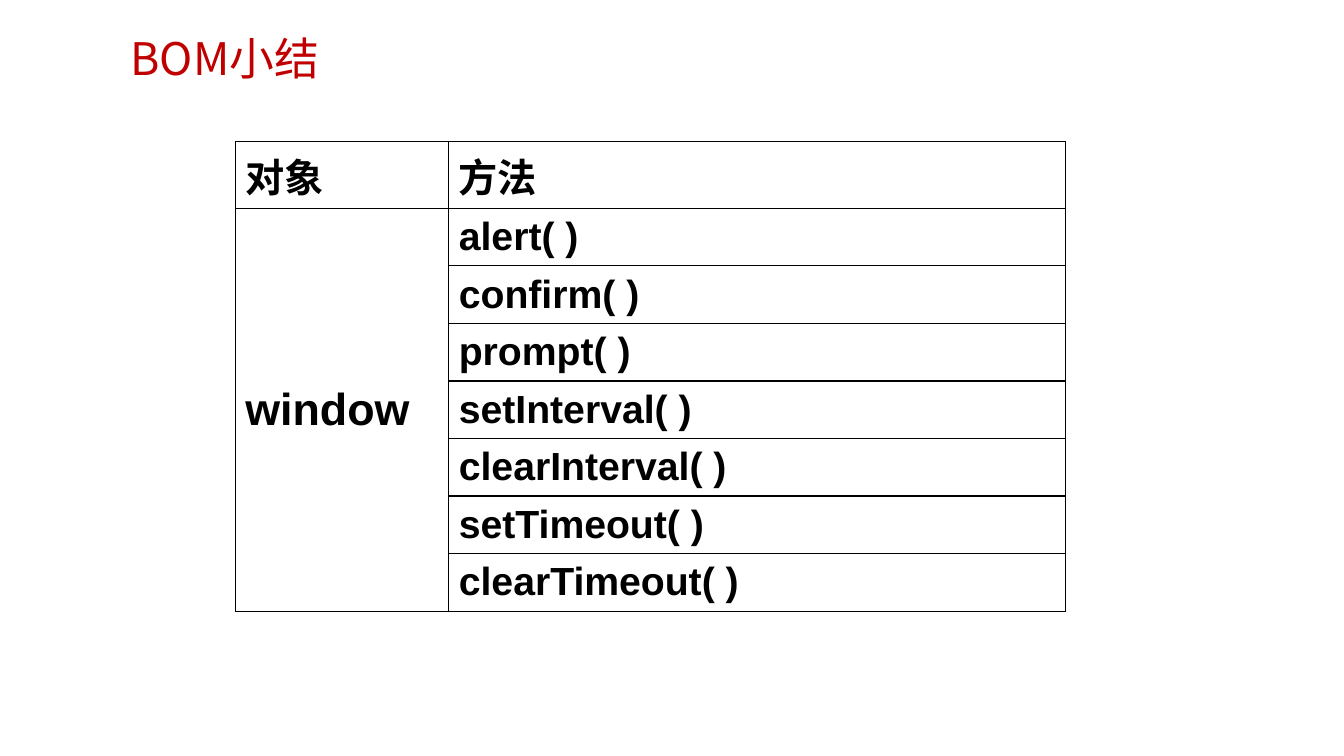
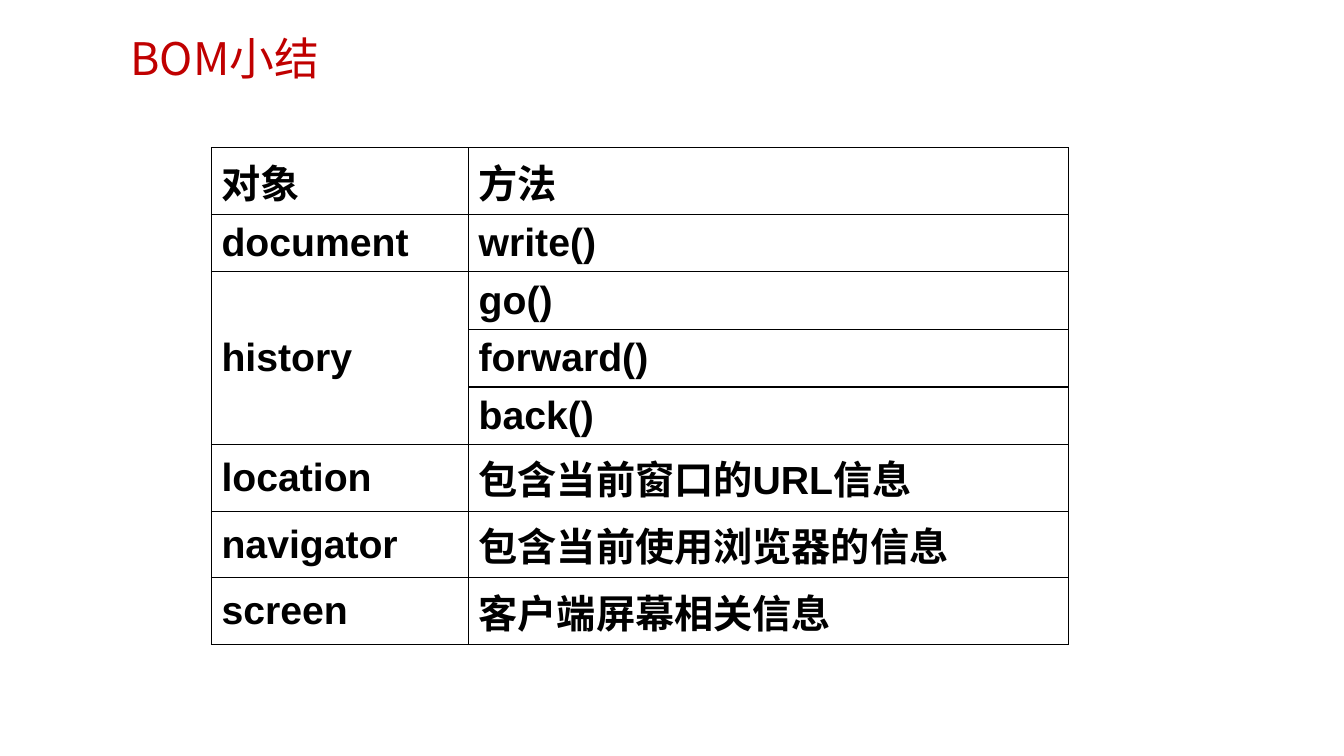
from lxml import etree
from pptx import Presentation
from pptx import util as u
from pptx.dml import color
from pptx.enum import text
from pptx.oxml import ns


def rgb(value):
    return color.RGBColor.from_string(value)


class Deck:
    BLACK = "000000"
    TITLE_RED = "C00000"
    TABLE_FONT = "Arial"
    CHINESE_FONT = "Noto Sans CJK SC"
    BODY_SIZE = 28
    LARGE_SIZE = 32
    LATIN_ROW_HEIGHT = 1.45
    CHINESE_ROW_HEIGHT = 1.68

    def __init__(self):
        self.presentation = Presentation()
        self.presentation.slide_width = u.Cm(33.87)
        self.presentation.slide_height = u.Cm(19.05)
        self.slide = None

    def add_slide(self, title):
        layout = self.presentation.slide_layouts[6]
        self.slide = self.presentation.slides.add_slide(layout)
        self.add_title(title)

    def add_run(self, paragraph, words, font, size, fill, bold=False):
        run = paragraph.add_run()
        run.text = words
        run.font.name = font
        run.font.size = u.Pt(size)
        run.font.bold = bold
        run.font.color.rgb = rgb(fill)
        properties = run._r.get_or_add_rPr()
        east_asian = etree.SubElement(properties, ns.qn("a:ea"))
        east_asian.set("typeface", self.CHINESE_FONT)

    def add_title(self, words):
        box = self.slide.shapes.add_textbox(
            u.Cm(3.04), u.Cm(0.76), u.Cm(22.76), u.Cm(1.37))
        frame = box.text_frame
        frame.word_wrap = True
        frame.vertical_anchor = text.MSO_ANCHOR.MIDDLE
        self.add_run(frame.paragraphs[0], words, self.CHINESE_FONT,
                     self.LARGE_SIZE, self.TITLE_RED)

    def add_borders(self, cell):
        properties = cell._tc.get_or_add_tcPr()
        for position, side in enumerate(("lnL", "lnR", "lnT", "lnB")):
            line = etree.Element(ns.qn(f"a:{side}"), w=str(u.Pt(1)))
            fill = etree.SubElement(line, ns.qn("a:solidFill"))
            etree.SubElement(fill, ns.qn("a:srgbClr"), val=self.BLACK)
            properties.insert(position, line)

    def add_cell(self, cell, words, size, anchor):
        cell.fill.background()
        self.add_borders(cell)
        cell.vertical_anchor = anchor
        if words:
            self.add_run(cell.text_frame.paragraphs[0], words,
                         self.TABLE_FONT, size, self.BLACK, bold=True)

    def row_height(self, row):
        is_latin = "".join(row).isascii()
        return self.LATIN_ROW_HEIGHT if is_latin else self.CHINESE_ROW_HEIGHT

    def add_table(self, left, top, widths, groups, object_size=BODY_SIZE):
        rows = [("对象", "方法")]
        spans = []
        for name, methods in groups:
            spans.append((len(rows), len(methods)))
            rows += [(name if index == 0 else "", method)
                     for index, method in enumerate(methods)]
        heights = [self.row_height(row) for row in rows]
        table = self.slide.shapes.add_table(
            len(rows), len(widths), u.Cm(left), u.Cm(top),
            u.Cm(sum(widths)), u.Cm(sum(heights))).table
        table.first_row = False
        table.horz_banding = False
        for column, width in zip(table.columns, widths):
            column.width = u.Cm(width)
        for row, height in zip(table.rows, heights):
            row.height = u.Cm(height)
        for row_index, row in enumerate(rows):
            is_header = row_index == 0
            anchor = text.MSO_ANCHOR.TOP if is_header else text.MSO_ANCHOR.MIDDLE
            for column_index, words in enumerate(row):
                is_object = column_index == 0 and not is_header
                size = object_size if is_object else self.BODY_SIZE
                self.add_cell(table.cell(row_index, column_index),
                              words, size, anchor)
        for start, count in spans:
            if count > 1:
                table.cell(start, 0).merge(table.cell(start + count - 1, 0))

    def save(self):
        self.presentation.save("out.pptx")


def main():
    title = "BOM小结"
    window_methods = ["alert", "confirm", "prompt", "setInterval",
                      "clearInterval", "setTimeout", "clearTimeout"]
    deck = Deck()

    deck.add_slide(title)
    deck.add_table(
        5.93, 3.57, (5.38, 15.54),
        [("window", [f"{method}( )" for method in window_methods])],
        object_size=Deck.LARGE_SIZE)

    deck.add_slide(title)
    deck.add_table(
        5.33, 3.72, (6.48, 15.11),
        [("document", ["write()"]),
         ("history", ["go()", "forward()", "back()"]),
         ("location", ["包含当前窗口的URL信息"]),
         ("navigator", ["包含当前使用浏览器的信息"]),
         ("screen", ["客户端屏幕相关信息"])])

    deck.save()


if __name__ == "__main__":
    main()
